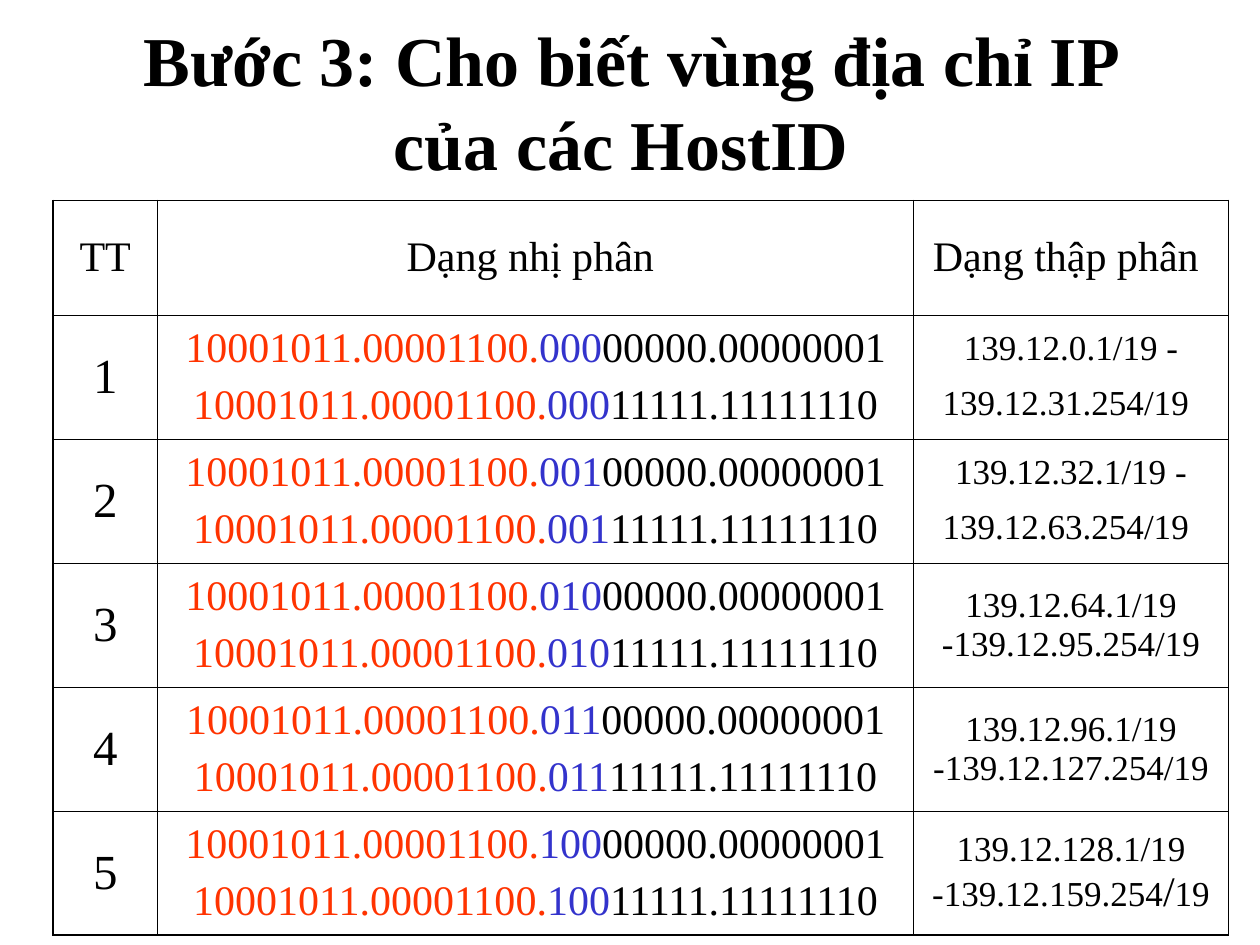
import pptx
import pptx.util
import pptx.dml.color
import pptx.enum.text
import pptx.oxml
import pptx.oxml.ns

In, Pt = pptx.util.Inches, pptx.util.Pt
MIDDLE = pptx.enum.text.MSO_ANCHOR.MIDDLE
CENTER = pptx.enum.text.PP_ALIGN.CENTER
BLACK, RED, BLUE = "000000", "FF3300", "3333CC"
THIN, THICK = 0.45, 1.08
COLS = [0.83, 6, 2.5]
ROWS = [0.91] + [0.98] * 5

HEADER = ["TT", "Dạng nhị phân ", "Dạng thập phân "]
NETWORK = "10001011.00001100."
HOSTS = ["00000.00000001", "11111.11111110"]  # first and last host bits
# Each range is a list of paragraphs, each a list of (text, size)
RANGES = [
    [[("139.12.0.1/19 -", 20)], [("139.12.31.254/19", 20), (" ", 24)]],
    [[("139.12.32.1/19 -", 20)], [("139.12.63.254/19", 20), (" ", 24)]],
    [[("139.12.64.1/19 -139.12.95.254/19", 20)]],
    [[("139.12.96.1/19 -139.12.127.254/19", 20)]],
    [[("139.12.128.1/19 -139.12.159.254", 20), ("/", 24), ("19", 20)]],
]


def color(hex_value):
    return pptx.dml.color.RGBColor.from_string(hex_value)


def write(tf, paragraphs):
    """Fill a frame with paragraphs of (text, size, colour, bold) runs."""
    tf.word_wrap = True
    for i, runs in enumerate(paragraphs):
        p = tf.add_paragraph() if i else tf.paragraphs[0]
        p.alignment = CENTER
        if i:
            p.space_before = Pt(6)
        for text, size, hex_value, bold in runs:
            r = p.add_run()
            r.text = text
            fmt = {"name": "Times New Roman", "size": Pt(size), "bold": bold}
            for key, value in fmt.items():
                setattr(r.font, key, value)
            r.font.color.rgb = color(hex_value)


def border(cell, widths):
    """Draw the left, right, top and bottom lines of a cell."""
    tcPr = cell._tc.get_or_add_tcPr()
    for i, (side, width) in enumerate(zip("LRTB", widths)):
        ln = pptx.oxml.parse_xml(
            f'<a:ln{side} {pptx.oxml.ns.nsdecls("a")} w="{Pt(width)}"><a:solidFill>'
            f'<a:srgbClr val="{BLACK}"/></a:solidFill></a:ln{side}>')
        tcPr.insert(i, ln)


def add_title(s, text):
    sp = s.shapes.add_textbox(In(0.75), In(0.17), In(8.5), In(1.25))
    sp.text_frame.vertical_anchor = MIDDLE
    write(sp.text_frame, [[(text, 40, BLACK, True)]])


def add_grid(s, content):
    sp = s.shapes.add_table(len(ROWS), len(COLS), In(0.42), In(1.59),
                            In(sum(COLS)), In(sum(ROWS)))
    table = sp.table
    table.first_row = table.horz_banding = False
    for column, width in zip(table.columns, COLS):
        column.width = In(width)
    for row, height in zip(table.rows, ROWS):
        row.height = In(height)
    for i, row in enumerate(content):
        for j, paragraphs in enumerate(row):
            cell = table.cell(i, j)
            cell.vertical_anchor = MIDDLE
            cell.fill.background()
            write(cell.text_frame, paragraphs)
            # Outer edges are thicker than inner ones
            outer = [j == 0, j == len(COLS) - 1, i == 0, i == len(ROWS) - 1]
            border(cell, [THICK if edge else THIN for edge in outer])


def range_row(number, decimal):
    """Build the three cells of one subnet."""
    subnet = f"{number - 1:03b}"
    binary = [[(NETWORK, 24, RED, False), (subnet, 24, BLUE, False),
               (host, 24, BLACK, False)] for host in HOSTS]
    addresses = [[(text, size, BLACK, False) for text, size in p] for p in decimal]
    return [[[(str(number), 28, BLACK, False)]], binary, addresses]


def main():
    prs = pptx.Presentation()
    prs.slide_width, prs.slide_height = In(10), In(7.5)
    s = prs.slides.add_slide(prs.slide_layouts[6])

    # Title
    add_title(s, "Bước 3: Cho biết vùng địa chỉ IP của các HostID ")

    # Address table
    header = [[[(text, 24, BLACK, False)]] for text in HEADER]
    add_grid(s, [header] + [range_row(n, d) for n, d in enumerate(RANGES, 1)])

    prs.save("out.pptx")


if __name__ == "__main__":
    main()
